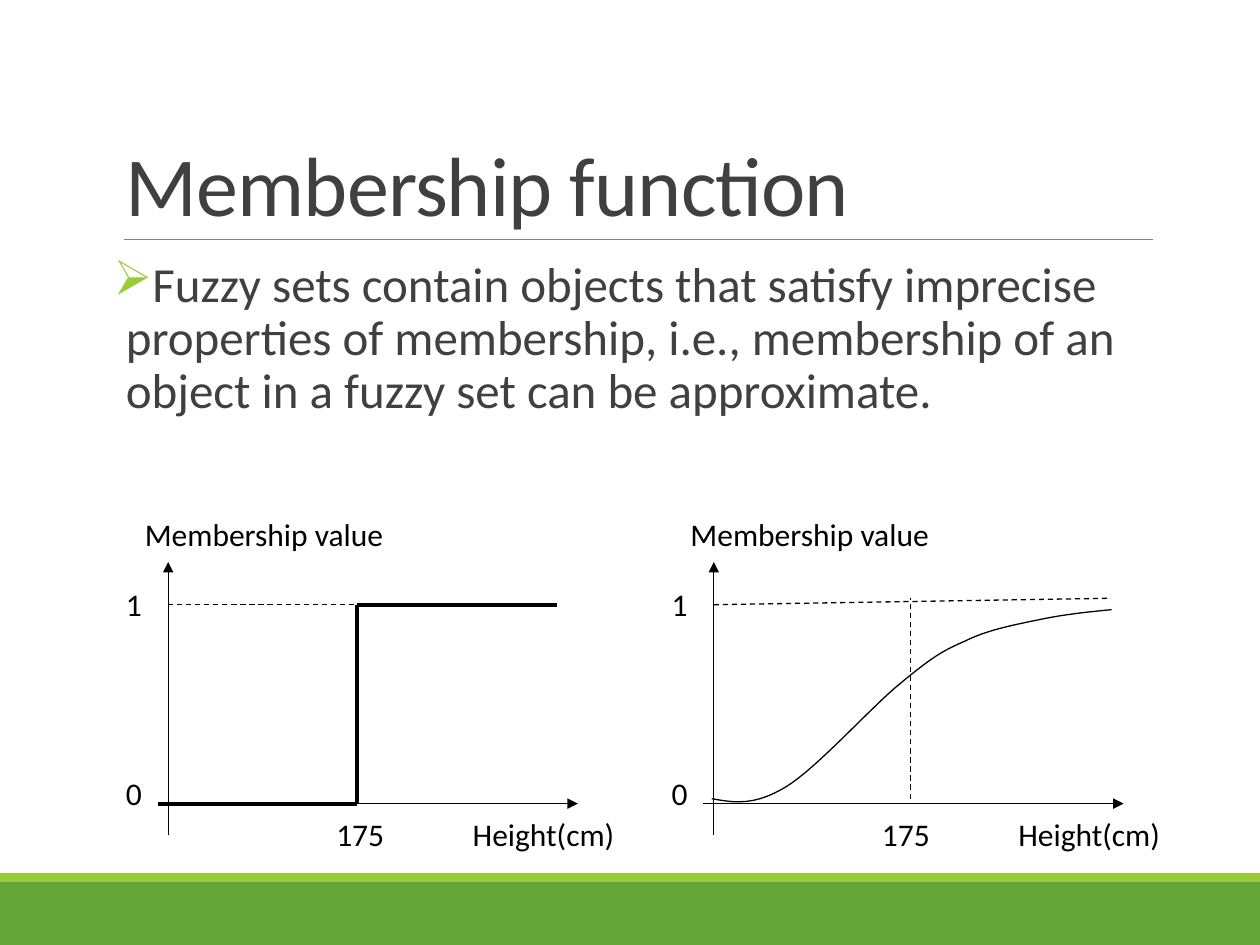
from lxml import etree
from pptx import Presentation
from pptx.dml.color import RGBColor
from pptx.enum import dml, shapes, text
from pptx.oxml.ns import qn
from pptx.util import Cm, Pt

BLACK = RGBColor(0, 0, 0)
INK = RGBColor(0x40, 0x40, 0x40)
GRAY = RGBColor(0x80, 0x80, 0x80)
GREEN = RGBColor(0x63, 0xA5, 0x37)
LIME = RGBColor(0x99, 0xCB, 0x38)

WIDE, HIGH = 25.4, 19.05
BASE, ONE = 5.94, 1.93
AXIS, STEP = 0.21, 4.02
START = (0.17, 5.84)
CURVE = [
    ((0.61, 5.92), (1.02, 5.99), (1.65, 5.61)),
    ((2.29, 5.23), (3.38, 3.99), (3.99, 3.5)),
    ((4.6, 3.0), (4.8, 2.87), (5.26, 2.67)),
    ((5.72, 2.44), (6.25, 2.34), (6.73, 2.24)),
    ((7.24, 2.13), (7.72, 2.08), (8.23, 2.03)),
]


def write(slide, words, box, size=18, color=BLACK, wrap=False, anchor="TOP",
          pad=0.25, lead=None, track=None, mark=None):
    """Add a text box holding one formatted paragraph."""
    shape = slide.shapes.add_textbox(*map(Cm, box))
    frame = shape.text_frame
    frame.word_wrap = wrap
    frame.vertical_anchor = getattr(text.MSO_ANCHOR, anchor)
    frame.margin_left = frame.margin_right = Cm(pad)
    para = frame.paragraphs[0]
    if mark:
        props = para._p.get_or_add_pPr()
        props.set("marL", str(Cm(0.25)))
        props.set("indent", str(Cm(-0.25)))
        tint = etree.SubElement(props, qn("a:buClr"))
        etree.SubElement(tint, qn("a:srgbClr"), val=str(LIME))
        etree.SubElement(props, qn("a:buChar"), char=mark)
    if lead:
        para.line_spacing = lead
    run = para.add_run()
    run.text = words
    run.font.name = "Calibri"
    run.font.size = Pt(size)
    run.font.color.rgb = color
    if track:
        run._r.get_or_add_rPr().set("spc", str(track))


def rule(slide, start, end, color=BLACK, width=0.75, dash=False, arrow=False):
    """Draw a straight line, dashed or with an arrowhead on request."""
    line = slide.shapes.add_connector(
        shapes.MSO_CONNECTOR.STRAIGHT, *map(Cm, (*start, *end)))
    line.line.color.rgb = color
    line.line.width = Pt(width)
    if dash:
        line.line.dash_style = dml.MSO_LINE.DASH
    if arrow:
        etree.SubElement(line.line._get_or_add_ln(), qn("a:tailEnd"), type="triangle")
    etree.SubElement(line._element.spPr, qn("a:effectLst"))


def band(slide, top, high, color):
    """Fill a full-width strip."""
    strip = slide.shapes.add_shape(
        shapes.MSO_SHAPE.RECTANGLE, 0, Cm(top), Cm(WIDE), Cm(high))
    strip.shadow.inherit = False
    strip.fill.solid()
    strip.fill.fore_color.rgb = color
    strip.line.fill.background()


def footer(slide, top):
    """Place the two green strips at the foot."""
    band(slide, top + 0.17, HIGH - top - 0.17, GREEN)
    band(slide, top, 0.17, LIME)


def head(slide, left, top, wide, high):
    """Place the title and the rule below it."""
    rule(slide, (left + 0.2, top + high), (left + wide, top + high), GRAY, 0.5)
    write(slide, "Membership function", (left, top, wide, high), size=48,
          color=INK, wrap=True, anchor="BOTTOM", lead=0.85, track=-50)


def body(slide, left, top, wide, high):
    """Place the bulleted statement."""
    write(slide, "Fuzzy sets contain objects that satisfy imprecise properties of "
          "membership, i.e., membership of an object in a fuzzy set can be "
          "approximate.", (left, top, wide, high), size=28, color=INK,
          wrap=True, pad=0, lead=0.9, mark="➢")


def axes(slide, left, top):
    """Draw the axes of a plot and their labels."""
    rule(slide, (left, top + BASE), (left + 8.47, top + BASE), arrow=True)
    rule(slide, (left + AXIS, top + 6.58), (left + AXIS, top + 1.07), arrow=True)
    for words, x, y, wide in (
            ("Membership value", -0.51, 0, 5.69), ("1", -0.89, 1.4, 0.86),
            ("0", -0.89, 5.21, 0.86), ("175", 3.35, 6.05, 1.57),
            ("Height(cm)", 6.1, 6.05, 3.61)):
        write(slide, words, (left + x, top + y, wide, 1.02))


def crisp(slide, left, top):
    """Draw the plot of a crisp step."""
    axes(slide, left, top)
    edge, low, up = left + STEP, top + BASE, top + ONE
    route = [(left, low), (edge, low), (edge, up), (left + 8.05, up)]
    for start, end in zip(route, route[1:]):
        rule(slide, start, end, width=2.25)
    rule(slide, (left + AXIS, up), (edge, up), dash=True)


def trace(parts=16):
    """Return the points along the smooth curve."""
    dots, a = [START], START
    for b, c, d in CURVE:
        for i in range(1, parts + 1):
            t = i / parts
            s = 1 - t
            dots.append(tuple(
                s**3 * p + 3 * s * s * t * q + 3 * s * t * t * r + t**3 * e
                for p, q, r, e in zip(a, b, c, d)))
        a = d
    return dots


def fuzzy(slide, left, top):
    """Draw the plot of a gradual membership."""
    axes(slide, left, top)
    rule(slide, (left + AXIS, top + ONE), (left + 8.22, top + 1.8), dash=True)
    dots = [(Cm(left + x), Cm(top + y)) for x, y in trace()]
    build = slide.shapes.build_freeform(*dots[0])
    build.add_line_segments(dots[1:], close=False)
    curve = build.convert_to_shape()
    curve.shadow.inherit = False
    curve.fill.background()
    curve.line.color.rgb = BLACK
    curve.line.width = Pt(0.75)
    rule(slide, (left + 4.18, top + 5.84), (left + 4.18, top + 1.8), dash=True)


def main():
    """Build the slide and save it."""
    deck = Presentation()
    deck.slide_width, deck.slide_height = Cm(WIDE), Cm(HIGH)
    slide = deck.slides.add_slide(deck.slide_layouts[6])
    footer(slide, 17.6)
    head(slide, 2.29, 0.79, 20.95, 4.04)
    body(slide, 2.29, 5.13, 20.95, 11.18)
    crisp(slide, 3.18, 10.26)
    fuzzy(slide, 14.18, 10.26)
    deck.save("out.pptx")


if __name__ == "__main__":
    main()
